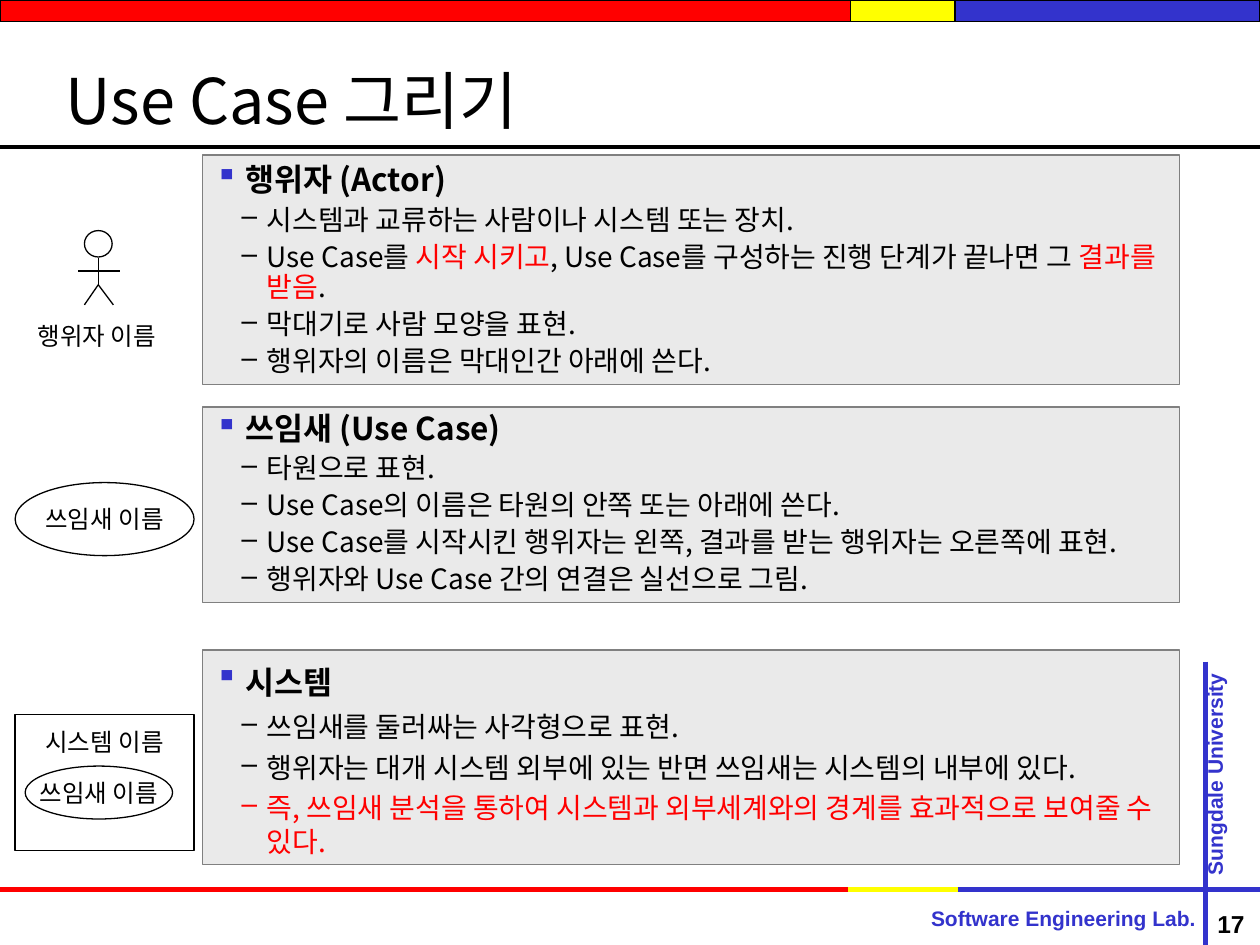
from typing import NamedTuple

from lxml import etree
from pptx import Presentation
from pptx import util as u
from pptx.dml.color import RGBColor
from pptx.enum import shapes, text
from pptx.oxml import ns

PX = 9144  # 100 px to the inch
HUE = {"red": "FF0000", "gold": "FFFF00", "blue": "3333CC", "ink": "000000",
       "pale": "EAEAEA", "gray": "808080", "white": "FFFFFF"}
NOTO = "Noto Sans CJK KR"
RECT, OVAL = shapes.MSO_SHAPE.RECTANGLE, shapes.MSO_SHAPE.OVAL
MID, TOP = text.MSO_ANCHOR.MIDDLE, text.MSO_ANCHOR.TOP
LEFT, CENTER = text.PP_ALIGN.LEFT, text.PP_ALIGN.CENTER


class Box(NamedTuple):
    x: int
    y: int
    w: int
    h: int


class Span(NamedTuple):
    words: str
    size: int = 16
    hue: str = "ink"
    bold: bool = False
    font: str = NOTO


class Panel(NamedTuple):
    box: Box
    head: list[Span]
    items: list[list[Span]]
    gap: float
    lead: float


class Stroke(NamedTuple):
    x1: int
    y1: int
    x2: int
    y2: int
    hue: str = "ink"
    wide: float = 0.75


def rgb(hue: str) -> RGBColor:
    return RGBColor.from_string(HUE[hue])


def put(obj, **fmt) -> None:
    for key, val in fmt.items():
        setattr(obj, key, val)


def write(para, spans: list[Span], **fmt) -> None:
    put(para, **fmt)
    for span in spans:
        run = para.add_run()
        run.text = span.words
        put(run.font, size=u.Pt(span.size), bold=span.bold, name=span.font)
        run.font.color.rgb = rgb(span.hue)
        asia = etree.SubElement(run._r.get_or_add_rPr(), ns.qn("a:ea"))
        asia.set("typeface", NOTO)


def mark(para, sign: str, hue: str, left: int, hang: int) -> None:
    props = para._p.get_or_add_pPr()
    props.set("marL", str(left * PX))
    props.set("indent", str(-hang * PX))
    tint = etree.SubElement(props, ns.qn("a:buClr"))
    etree.SubElement(tint, ns.qn("a:srgbClr")).set("val", HUE[hue])
    etree.SubElement(props, ns.qn("a:buChar")).set("char", sign)


def frame(shape, wrap: bool = False, anchor=TOP, pad=(10, 5)):
    side, edge = (n * PX for n in pad)
    put(shape.text_frame, word_wrap=wrap, vertical_anchor=anchor,
        margin_left=side, margin_right=side, margin_top=edge, margin_bottom=edge)
    return shape.text_frame


def block(into, kind, box: Box, fill: str | None = "white", edge: str = "ink"):
    shape = into.add_shape(kind, *(n * PX for n in box))
    shape.shadow.inherit = False
    if fill:
        shape.fill.solid()
        shape.fill.fore_color.rgb = rgb(fill)
    else:
        shape.fill.background()
    shape.line.color.rgb = rgb(edge)
    shape.line.width = u.Pt(0.75)
    return shape


def rule(into, stroke: Stroke) -> None:
    line = into.add_connector(shapes.MSO_CONNECTOR.STRAIGHT,
                              *(n * PX for n in stroke[:4]))
    line.line.color.rgb = rgb(stroke.hue)
    line.line.width = u.Pt(stroke.wide)
    etree.SubElement(line._element.spPr, ns.qn("a:effectLst"))


def label(into, box: Box, span: Span, align=CENTER, **fmt):
    body = frame(into.add_textbox(*(n * PX for n in box)), **fmt)
    write(body.paragraphs[0], [span], alignment=align)
    return body


def named(into, kind, box: Box, words: str, **fmt) -> None:
    body = frame(block(into, kind, box), **fmt)
    write(body.paragraphs[0], [Span(words, 14, font="Lato")], alignment=CENTER)


def panel(into, data: Panel) -> None:
    body = frame(block(into, RECT, data.box, "pale", "gray"), wrap=True)
    head = body.paragraphs[0]
    write(head, data.head, alignment=LEFT, line_spacing=data.lead,
          space_before=u.Pt(data.gap))
    mark(head, "▪", "blue", 24, 24)
    for spans in data.items:
        para = body.add_paragraph()
        write(para, spans, alignment=LEFT, line_spacing=data.lead,
              space_before=u.Pt(4), level=1)
        mark(para, "–", spans[0].hue, 41, 20)


def title(words: str, size: int = 18) -> Span:
    return Span(words, size, bold=True)


PANELS = [
    Panel(Box(161, 123, 775, 182), [title("행위자 (Actor)"), Span(" ", 20)], [
        [Span("시스템과 교류하는 사람이나 시스템 또는 장치.")],
        [Span("Use Case를 "), Span("시작 시키고", hue="red"),
         Span(", Use Case를 구성하는 진행 단계가 끝나면 그 "),
         Span("결과를 받음", hue="red"), Span(".")],
        [Span("막대기로 사람 모양을 표현.")],
        [Span("행위자의 이름은 막대인간 아래에 쓴다.")]], 5, 0.9),
    Panel(Box(161, 323, 775, 155), [title("쓰임새 (Use Case)")], [
        [Span("타원으로 표현.")],
        [Span("Use Case의 이름은 타원의 안쪽 또는 아래에 쓴다.")],
        [Span("Use Case를 시작시킨 행위자는 왼쪽, 결과를 받는 행위자는 오른쪽에 표현.")],
        [Span("행위자와 Use Case 간의 연결은 실선으로 그림.")]], 4.5, 0.9),
    Panel(Box(161, 516, 775, 170), [title("시스템"), Span(" ", 22)], [
        [Span("쓰임새를 둘러싸는 사각형으로 표현.")],
        [Span("행위자는 대개 시스템 외부에 있는 반면 쓰임새는 시스템의 내부에 있다.")],
        [Span("즉, 쓰임새 분석을 통하여 시스템과 외부세계와의 경계를 효과적으로 "
              "보여줄 수 있다.", hue="red")]], 5.5, 1.0),
]


def main() -> None:
    deck = Presentation()
    put(deck, slide_width=1000 * PX, slide_height=750 * PX)
    slide = deck.slides.add_slide(deck.slide_layouts[5])
    tree = slide.shapes

    # Title
    name = tree.title
    put(name, left=42 * PX, top=33 * PX, width=917 * PX, height=92 * PX)
    body = frame(name, wrap=True, anchor=MID)
    body.auto_size = text.MSO_AUTO_SIZE.NONE
    write(body.paragraphs[0], [Span("Use Case 그리기", 36)], alignment=LEFT)

    # Tricolour bar on top, tricolour rule at the foot
    hues = ("red", "gold", "blue")
    for hue, a, b in zip(hues, (0, 675, 758), (675, 758, 1000)):
        block(tree, RECT, Box(a, 0, b - a, 17), hue)
    rule(tree, Stroke(0, 117, 1000, 117, wide=2.25))
    for hue, a, b in zip(hues, (0, 673, 760), (673, 760, 1000)):
        rule(tree, Stroke(a, 706, b, 706, hue, 3))
    rule(tree, Stroke(957, 525, 957, 750, "blue", 3))

    # Footer texts
    label(tree, Box(927, 720, 100, 27), Span("17", 14, "ink", True, "Arial"),
          anchor=MID, pad=(0, 0))
    label(tree, Box(729, 714, 230, 30),
          Span("Software Engineering Lab.", 12, "blue", True, "Arial"))
    side = label(tree, Box(949, 529, 40, 171),
                 Span("Sungdale University", 12, "blue", True, "Arial"), pad=(5, 10))
    side._txBody.bodyPr.set("vert", "vert270")

    # Stick figure actor
    actor = tree.add_group_shape().shapes
    block(actor, OVAL, Box(67, 183, 22, 21), None)
    for ends in ((78, 205, 78, 226), (62, 215, 95, 215),
                 (78, 226, 67, 242), (78, 226, 90, 242)):
        rule(actor, Stroke(*ends))
    label(actor, Box(20, 250, 125, 34), Span("행위자 이름", 14, font="Lato"),
          align=LEFT, wrap=True)

    # Use case ellipse, and system holding one
    named(tree, OVAL, Box(12, 383, 142, 58), "쓰임새 이름", anchor=MID)
    system = tree.add_group_shape().shapes
    named(system, RECT, Box(12, 567, 142, 108), "시스템 이름", pad=(10, 10))
    named(system, OVAL, Box(20, 608, 117, 42), "쓰임새 이름", anchor=MID)

    # Explanations
    for data in PANELS:
        panel(tree, data)

    deck.save("out.pptx")


if __name__ == "__main__":
    main()
